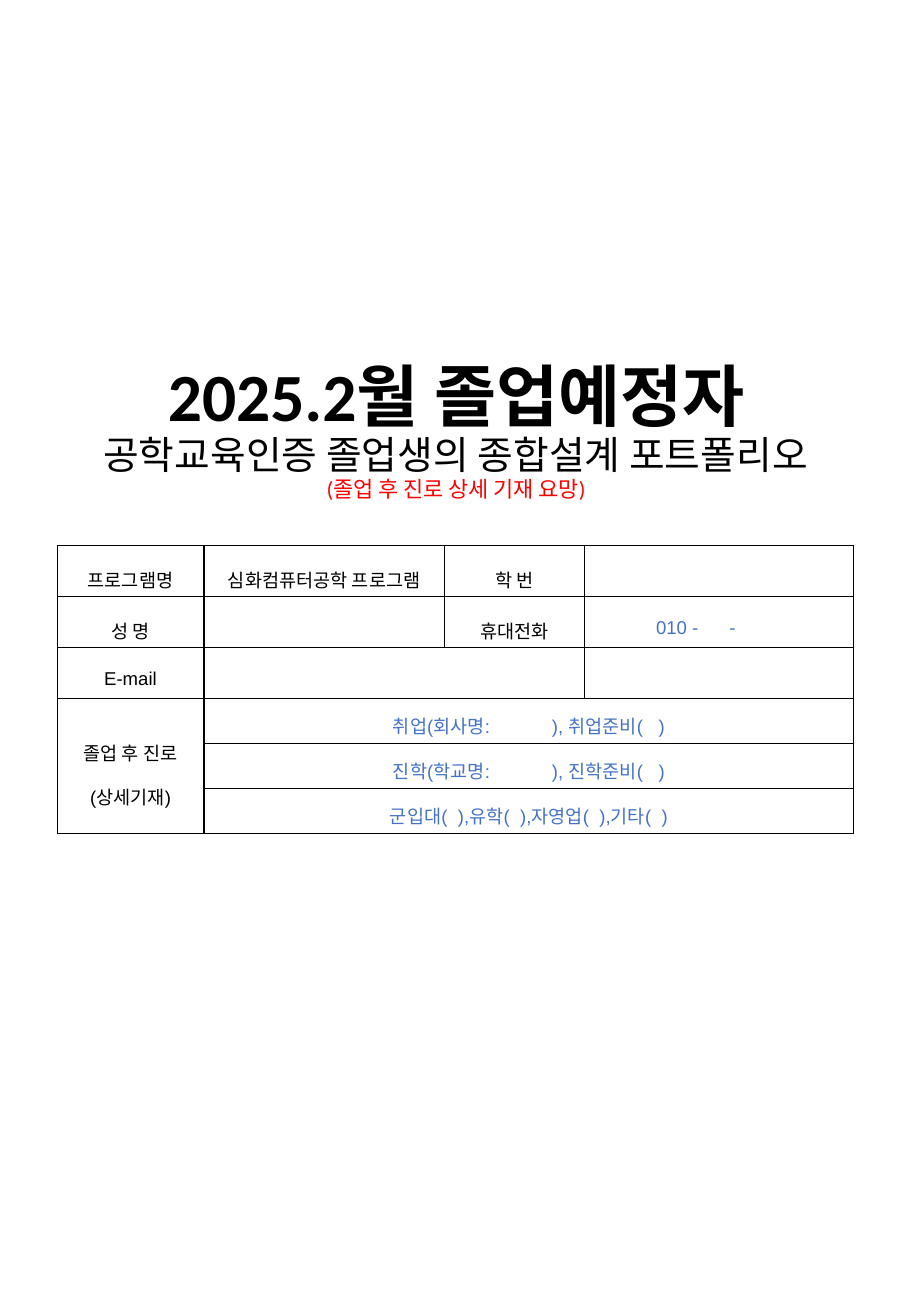
from lxml.etree import SubElement
from pptx import Presentation
from pptx.dml.color import RGBColor
from pptx.enum.text import MSO_ANCHOR, PP_ALIGN
from pptx.oxml.ns import qn
from pptx.util import Inches, Pt

BLACK, RED, BLUE = "000000", "FF0000", "4472C4"
COLS = [16.13, 26.4, 15.33, 29.6]
ROWS = [3.88] * 3 + [3.42] * 3

# A number inside a line is a blank to fill in, as many spaces wide.
LABELS = {
    (0, 0): [["프로그램명"]],
    (0, 1): [["심화컴퓨터공학 프로그램"]],
    (0, 2): [["학 번"]],
    (1, 0): [["성 명"]],
    (1, 2): [["휴대전화"]],
    (2, 0): [["E-mail"]],
    (3, 0): [["졸업 후 진로"], ["(상세기재)"]],
}
PATHS = [
    ["취업(회사명:", 12, "), 취업준비(", 3, ")"],
    ["진학(학교명:", 12, "), 진학준비(", 3, ")"],
    ["군입대(", 2, "),유학(", 2, "),자영업(", 2, "),기타(", 2, ")"],
]


def color(code):
    return RGBColor.from_string(code)


def write(par, text, font="Arial", size=11, tint=BLACK, bold=False):
    run = par.add_run()
    run.text = text
    run.font.name, run.font.size, run.font.bold = font, Pt(size), bold
    run.font.color.rgb = color(tint)
    return run


def blank(par, count, size=11, **style):
    """Widen one space to the width of count spaces."""
    run = write(par, " ", size=size, **style)
    wide = (count - 1) * size * 0.278
    run.font._element.set("spc", str(round(wide * 100)))


class Page:
    def __init__(self, deck):
        self.wide, self.high = deck.slide_width, deck.slide_height
        self.slide = deck.slides.add_slide(deck.slide_layouts[6])

    def across(self, share):
        return round(self.wide * share / 100)

    def down(self, share):
        return round(self.high * share / 100)

    def box(self, left, top, width, height):
        """Turn percent of the slide into lengths."""
        return (self.across(left), self.down(top),
                self.across(width), self.down(height))

    def title(self, place, lines):
        frame = self.slide.shapes.add_textbox(*self.box(*place)).text_frame
        frame.word_wrap = True
        frame.vertical_anchor = MSO_ANCHOR.BOTTOM
        par = frame.paragraphs[0]
        par.alignment, par.line_spacing = PP_ALIGN.CENTER, 0.9
        for i, (text, style) in enumerate(lines):
            if i:
                par.add_line_break()
            write(par, text, font="Calibri", **style)

    def table(self, left, top, cols, rows):
        place = self.box(left, top, sum(cols), sum(rows))
        grid = self.slide.shapes.add_table(len(rows), len(cols), *place).table
        grid.first_row = grid.horz_banding = False
        for col, share in zip(grid.columns, cols):
            col.width = self.across(share)
        for row, share in zip(grid.rows, rows):
            row.height = self.down(share)
        for cell in grid.iter_cells():
            self.frame(cell)
        return grid

    def frame(self, cell):
        cell.margin_left = cell.margin_right = Inches(0.02)
        cell.margin_top = cell.margin_bottom = Inches(0.02)
        cell.vertical_anchor = MSO_ANCHOR.MIDDLE
        cell.text_frame.paragraphs[0].font.size = Pt(11)
        props = cell._tc.get_or_add_tcPr()
        for side in ("a:lnL", "a:lnR", "a:lnT", "a:lnB"):
            line = SubElement(props, qn(side), w=str(Pt(0.75)))
            fill = SubElement(line, qn("a:solidFill"))
            SubElement(fill, qn("a:srgbClr"), val=BLACK)
        cell.fill.background()

    def fill(self, cell, lines, space=1.6, **style):
        frame = cell.text_frame
        for i, parts in enumerate(lines):
            par = frame.add_paragraph() if i else frame.paragraphs[0]
            par.alignment, par.line_spacing = PP_ALIGN.CENTER, space
            for part in parts:
                add = blank if isinstance(part, int) else write
                add(par, part, **style)


def main():
    deck = Presentation()
    deck.slide_width, deck.slide_height = Inches(7.5), Inches(10.83)
    page = Page(deck)
    page.title((1.33, 26.59, 97.47, 12), [
        ("2025.2월 졸업예정자", dict(size=40, bold=True)),
        ("공학교육인증 졸업생의 종합설계 포트폴리오", dict(size=23)),
        ("(졸업 후 진로 상세 기재 요망)", dict(size=13, tint=RED)),
    ])

    form = page.table(6.27, 41.9 - 0.44, COLS, ROWS)
    form.cell(2, 1).merge(form.cell(2, 2))
    form.cell(3, 0).merge(form.cell(5, 0))
    for spot, lines in LABELS.items():
        page.fill(form.cell(*spot), lines)
    phone = form.cell(1, 3)
    phone.margin_right = Inches(0.4)
    page.fill(phone, [["010 -", 6, "-"]], tint=BLUE)
    for row, parts in enumerate(PATHS, 3):
        form.cell(row, 1).merge(form.cell(row, 3))
        page.fill(form.cell(row, 1), [parts], space=1.3, tint=BLUE)
    deck.save("out.pptx")


if __name__ == "__main__":
    main()
